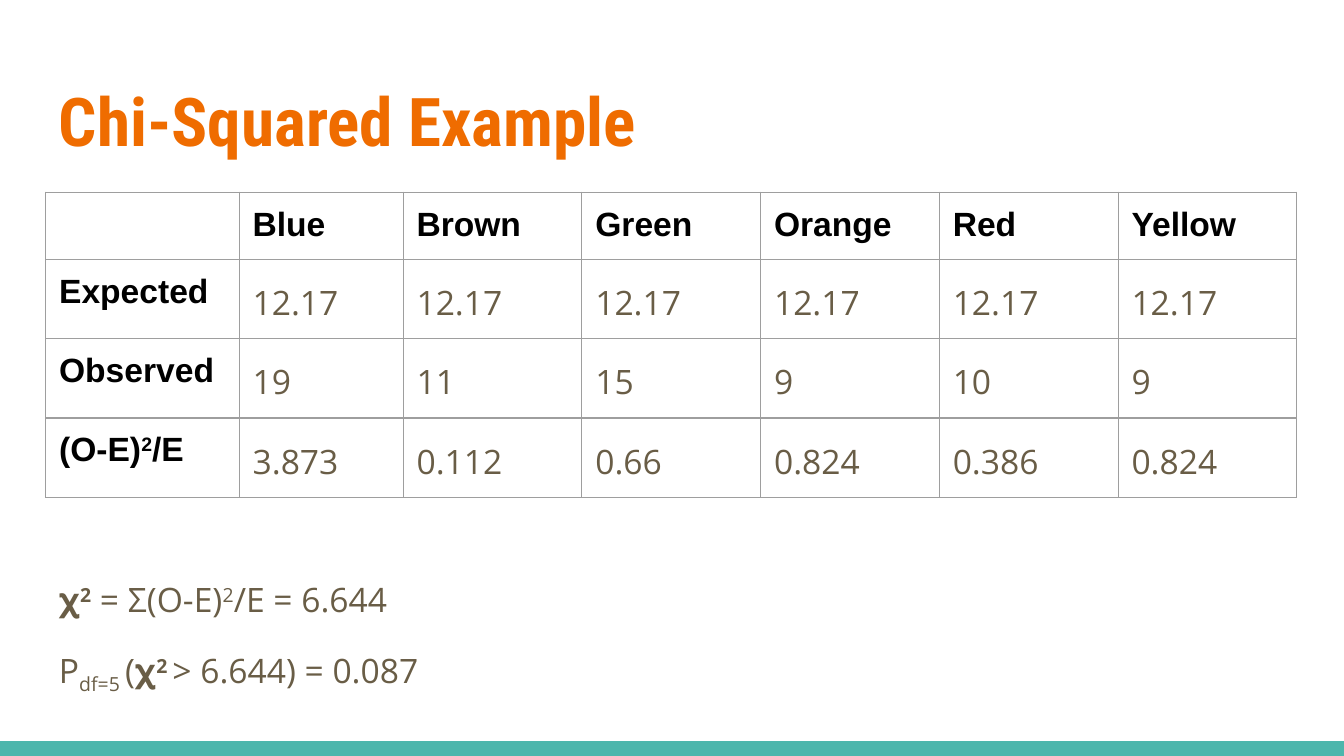
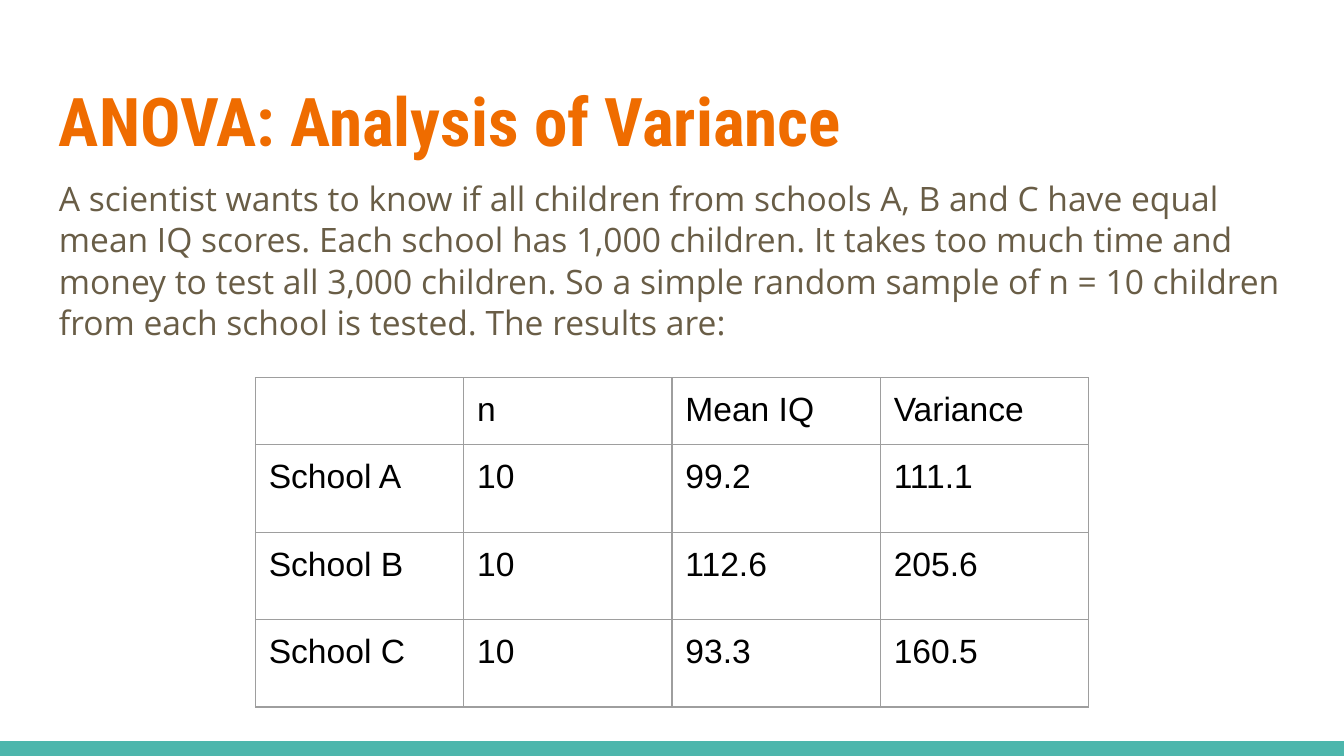
from lxml import etree
from pptx import Presentation
from pptx.dml.color import RGBColor
from pptx.enum.shapes import MSO_SHAPE
from pptx.oxml.ns import qn
from pptx.util import Inches, Pt

# Shared look
TITLE_FONT, BODY_FONT, TABLE_FONT = "Roboto Condensed", "Open Sans", "Arial"
ORANGE, TEAL, BROWN, BLACK, GRAY = "EF6C00", "4DB6AC", "695D46", "000000", "9E9E9E"
WIDTH, HEIGHT, BAND = 10, 5.625, 0.11
LEFT, CONTENT_W, INSET = 0.34, 9.32, 0.1
SUPER, SUB = 30, -25  # baseline shift in percent


def rgb(color):
    return RGBColor.from_string(color)


def add_run(p, text, font, color, size=18, bold=False, shift=0):
    r = p.add_run()
    r.text = text
    r.font.name, r.font.size, r.font.bold = font, Pt(size), bold
    r.font.color.rgb = rgb(color)
    if shift:
        r.font._element.set("baseline", str(shift * 1000))


def add_text(s, box, paragraphs, font, color, size=18, bold=False, line=1.0, gap=0):
    """Each paragraph is a list of (text, bold, shift) runs or plain strings."""
    tf = s.shapes.add_textbox(*map(Inches, box)).text_frame
    tf.word_wrap = True
    tf.margin_left = tf.margin_right = tf.margin_top = tf.margin_bottom = Inches(INSET)
    for i, runs in enumerate(paragraphs):
        p = tf.add_paragraph() if i else tf.paragraphs[0]
        p.line_spacing = line
        if i:
            p.space_before = Pt(gap)
        for run in runs:
            text, strong, shift = (run, bold, 0) if isinstance(run, str) else run
            add_run(p, text, font, color, size, strong, shift)


def add_body(s, box, paragraphs):
    add_text(s, box, paragraphs, BODY_FONT, BROWN, line=1.02, gap=16)


def add_base(prs, title):
    s = prs.slides.add_slide(prs.slide_layouts[6])
    # Bottom band
    sp = s.shapes.add_shape(MSO_SHAPE.RECTANGLE, 0, Inches(HEIGHT - BAND),
                            Inches(WIDTH), Inches(BAND))
    sp.shadow.inherit = False
    sp.fill.solid()
    sp.fill.fore_color.rgb = rgb(TEAL)
    sp.line.fill.background()
    # Title
    add_text(s, (LEFT, 0.49, CONTENT_W, 0.77), [[title]], TITLE_FONT, ORANGE, 36, True)
    return s


def set_borders(cell):
    tc_pr = cell._tc.get_or_add_tcPr()
    for i, side in enumerate(("lnL", "lnR", "lnT", "lnB")):
        ln = etree.Element(qn(f"a:{side}"), w=str(Pt(0.75)))
        fill = etree.SubElement(ln, qn("a:solidFill"))
        etree.SubElement(fill, qn("a:srgbClr"), val=GRAY)
        tc_pr.insert(i, ln)


def add_grid(s, left, top, widths, heights, rows, write_cell):
    frame = s.shapes.add_table(len(rows), len(widths), Inches(left), Inches(top),
                               Inches(sum(widths)), Inches(sum(heights)))
    table = frame.table
    table.first_row = table.horz_banding = False
    for column, width in zip(table.columns, widths):
        column.width = Inches(width)
    for i, (row, values) in enumerate(zip(table.rows, rows)):
        row.height = Inches(heights[i])
        for j, value in enumerate(values):
            cell = table.cell(i, j)
            cell.fill.background()
            cell.margin_left = cell.margin_right = Inches(INSET)
            cell.margin_top = cell.margin_bottom = Inches(INSET)
            set_borders(cell)
            if value:
                write_cell(cell.text_frame.paragraphs[0], value, i, j)


def write_chi_cell(p, value, i, j):
    # Bold headings in the first row and column, plain figures elsewhere
    if i and j:
        p.line_spacing, p.space_after = 1.15, Pt(16)
        add_run(p, value, BODY_FONT, BROWN)
        return
    base, power, rest = value.partition("²")
    add_run(p, base, TABLE_FONT, BLACK, bold=True)
    if power:
        add_run(p, "2", TABLE_FONT, BLACK, bold=True, shift=SUPER)
        add_run(p, rest, TABLE_FONT, BLACK, bold=True)


def write_plain_cell(p, value, i, j):
    add_run(p, value, TABLE_FONT, BLACK)


def chi_squared_slide(prs):
    s = add_base(prs, "Chi-Squared Example")
    # Counts by colour
    rows = [
        ["", "Blue", "Brown", "Green", "Orange", "Red", "Yellow"],
        ["Expected"] + ["12.17"] * 6,
        ["Observed", "19", "11", "15", "9", "10", "9"],
        ["(O-E)²/E", "3.873", "0.112", "0.66", "0.824", "0.386", "0.824"],
    ]
    add_grid(s, LEFT, 1.43, [1.44, 1.22] + [1.33] * 5, [0.48] + [0.59] * 3,
             rows, write_chi_cell)
    # Test statistic and probability
    add_body(s, (LEFT, 4.2, CONTENT_W, 1.25), [
        ["𝛘", ("2", True, SUPER), " = Σ(O-E)", ("2", False, SUPER), "/E = 6.644"],
        ["P", ("df=5 ", False, SUB), "(𝛘", ("2 ", True, SUPER), "> 6.644) = 0.087"],
    ])


def anova_slide(prs):
    s = add_base(prs, "ANOVA: Analysis of Variance")
    # Study description
    add_body(s, (LEFT, 1.22, CONTENT_W, 1.59), [[
        "A scientist wants to know if all children from schools A, B and C have equal "
        "mean IQ scores. Each school has 1,000 children. It takes too much time and "
        "money to test all 3,000 children. So a simple random sample of n = 10 children "
        "from each school is tested. The results are:"]])
    # Results by school
    rows = [
        ["", "n", "Mean IQ", "Variance"],
        ["School A", "10", "99.2", "111.1"],
        ["School B", "10", "112.6", "205.6"],
        ["School C", "10", "93.3", "160.5"],
    ]
    add_grid(s, 1.9, 2.81, [1.55] * 4, [0.49] + [0.65] * 3, rows, write_plain_cell)


def main():
    prs = Presentation()
    prs.slide_width, prs.slide_height = Inches(WIDTH), Inches(HEIGHT)
    chi_squared_slide(prs)
    anova_slide(prs)
    prs.save("out.pptx")


if __name__ == "__main__":
    main()
